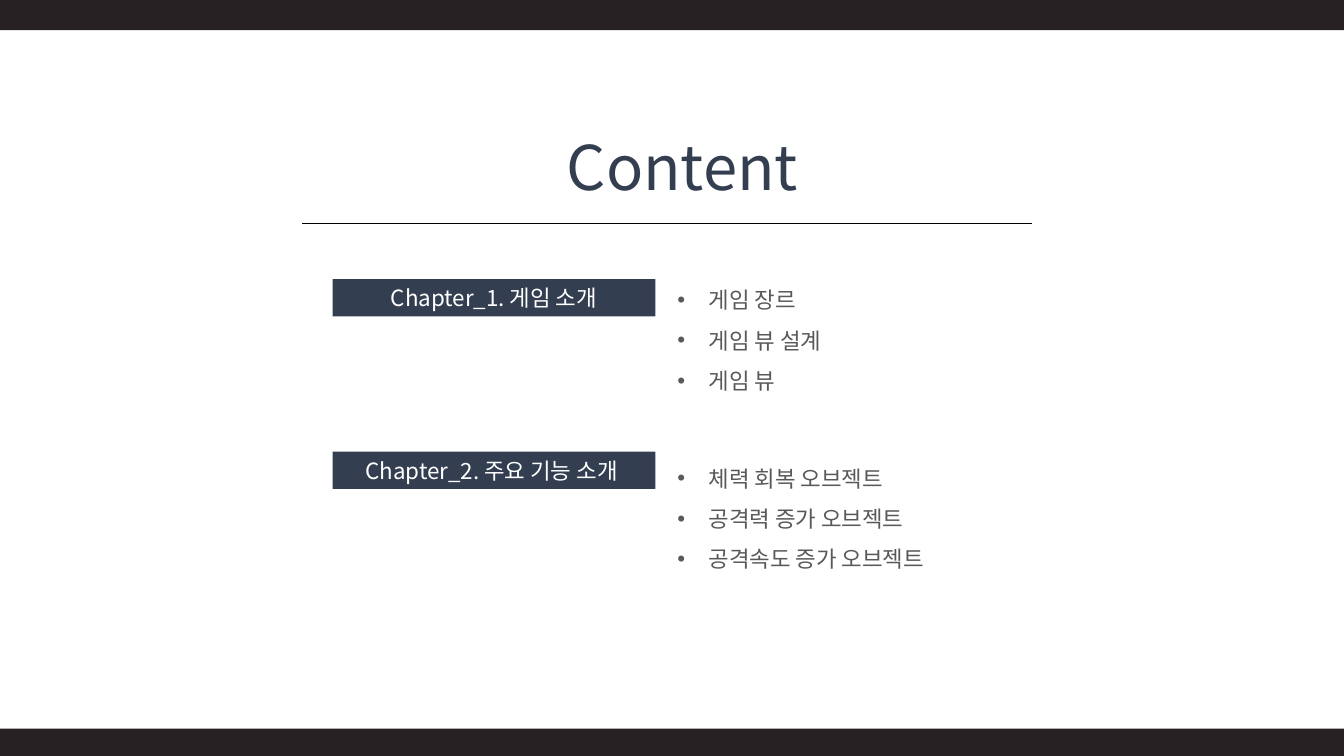
from lxml.etree import SubElement
from pptx import Presentation
from pptx.dml.color import RGBColor
from pptx.enum.shapes import MSO_CONNECTOR, MSO_SHAPE
from pptx.enum.text import MSO_ANCHOR as Anchor, PP_ALIGN as Align
from pptx.oxml.ns import qn
from pptx.util import Inches, Pt

FONT = "Noto Sans CJK KR"
COLORS = {
    "navy": "333F50",
    "white": "FFFFFF",
    "gray": "595959",
    "bar": "272123",
    "line": "000000",
}
CHAPTERS = [
    (2.77, 2.66, "Chapter_1. 게임 소개", ["게임 장르", "게임 뷰 설계", "게임 뷰"]),
    (4.48, 4.43, "Chapter_2. 주요 기능 소개 ",
     ["체력 회복 오브젝트", "공격력 증가 오브젝트", "공격속도 증가 오브젝트"]),
]


def color(name):
    """Return the named colour."""
    return RGBColor.from_string(COLORS[name])


def write_text(shape, lines, size=16, fill="gray", align=Align.LEFT,
               anchor=Anchor.TOP, spacing=None, bullet=False):
    """Write one paragraph per line into a shape."""
    frame = shape.text_frame
    frame.word_wrap = True
    frame.vertical_anchor = anchor
    for index, line in enumerate(lines):
        paragraph = frame.paragraphs[0] if index == 0 else frame.add_paragraph()
        paragraph.alignment = align
        if spacing:
            paragraph.line_spacing = spacing
        if bullet:
            properties = paragraph._p.get_or_add_pPr()
            properties.set("marL", str(Inches(0.31)))
            properties.set("indent", str(Inches(-0.31)))
            SubElement(properties, qn("a:buFont"), typeface="Arial")
            SubElement(properties, qn("a:buChar"), char="•")
        run = paragraph.add_run()
        run.text = line
        run.font.size = Pt(size)
        run.font.name = FONT
        run.font.color.rgb = color(fill)
        SubElement(run._r.get_or_add_rPr(), qn("a:ea"), typeface=FONT)


def add_block(slide, left, top, width, height, fill):
    """Add a plain filled rectangle."""
    shape = slide.shapes.add_shape(
        MSO_SHAPE.RECTANGLE, Inches(left), Inches(top), Inches(width), Inches(height))
    shape.shadow.inherit = False
    shape.fill.solid()
    shape.fill.fore_color.rgb = color(fill)
    shape.line.fill.background()
    return shape


def add_heading(slide, left, top, width):
    """Add the centred heading and the rule below it."""
    title = slide.shapes.add_textbox(
        Inches(left + 1.67), Inches(top), Inches(4.2), Inches(1.25))
    write_text(title, ["Content"], size=44, fill="navy", align=Align.CENTER)
    rule_top = Inches(top + 0.99)
    rule = slide.shapes.add_connector(
        MSO_CONNECTOR.STRAIGHT, Inches(left), rule_top, Inches(left + width), rule_top)
    rule.line.color.rgb = color("line")
    rule.line.width = Pt(0.5)
    SubElement(rule._element.spPr, qn("a:effectLst"))


def add_chapter(slide, left, label_top, list_top, label, topics):
    """Add a chapter label with its topics to the right."""
    block = add_block(slide, left, label_top, 3.2, 0.37, "navy")
    write_text(block, [label], fill="white", align=Align.CENTER, anchor=Anchor.MIDDLE)
    topic_list = slide.shapes.add_textbox(
        Inches(left + 3.32), Inches(list_top), Inches(3.64), Inches(1.26))
    write_text(topic_list, topics, spacing=1.5, bullet=True)


def main():
    """Build and save the contents slide."""
    presentation = Presentation()
    presentation.slide_width = Inches(13.33)
    presentation.slide_height = Inches(7.5)
    slide = presentation.slides.add_slide(presentation.slide_layouts[6])
    add_heading(slide, 3, 1.23, 7.24)
    for label_top, list_top, label, topics in CHAPTERS:
        add_chapter(slide, 3.3, label_top, list_top, label, topics)
    for top, height in [(0, 0.3), (7.23, 0.27)]:
        add_block(slide, 0, top, 13.33, height, "bar")
    presentation.save("out.pptx")


if __name__ == "__main__":
    main()
